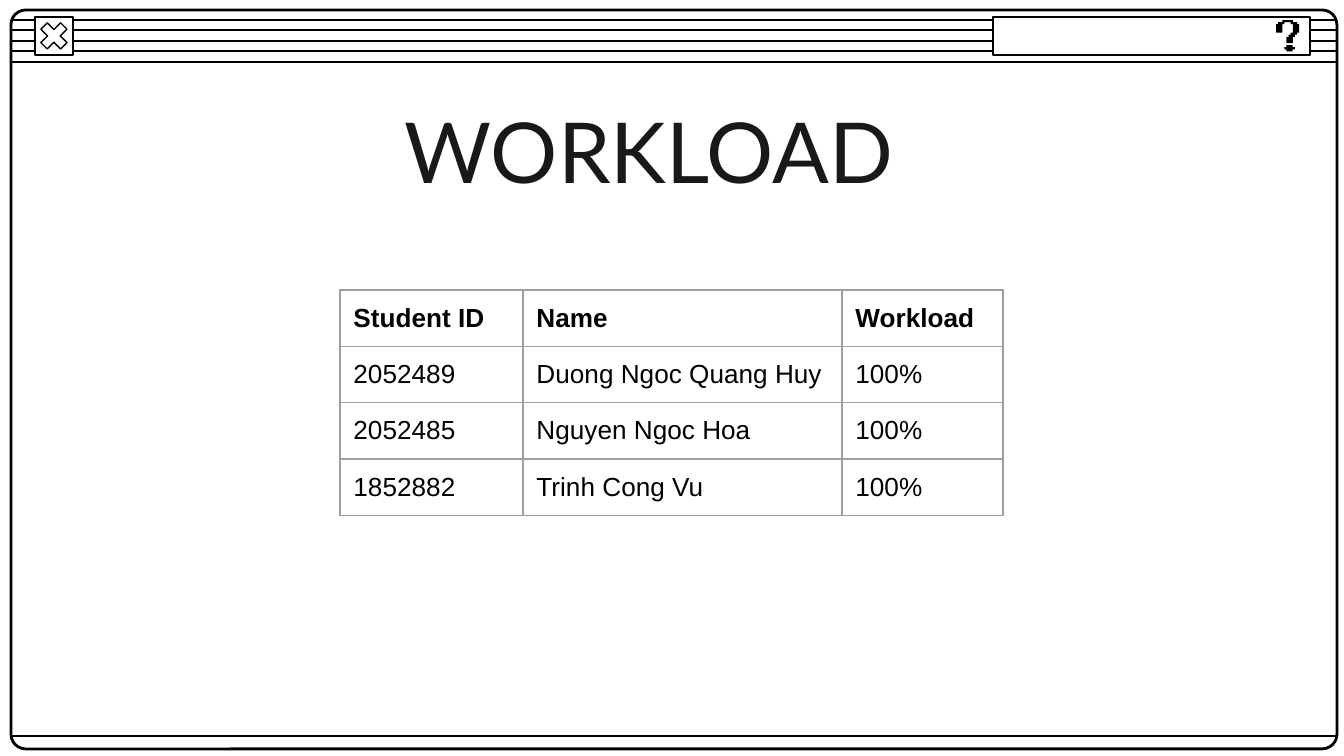
from dataclasses import dataclass

from lxml import etree
from pptx import Presentation
from pptx import util as u
from pptx.dml.color import RGBColor
from pptx.enum import shapes, text
from pptx.oxml import parse_xml
from pptx.oxml.ns import nsdecls, qn

PX = 914400 / 134.4  # EMU per pixel


@dataclass(frozen=True)
class Theme:
    ink: RGBColor = RGBColor(0, 0, 0)
    paper: RGBColor = RGBColor(255, 255, 255)
    title_ink: RGBColor = RGBColor(0x19, 0x19, 0x19)
    grid: str = "9E9E9E"
    title_font: str = "Lato"
    body_font: str = "Arial"
    title_size: u.Pt = u.Pt(45)
    body_size: u.Pt = u.Pt(14)
    thin: u.Pt = u.Pt(0.75)
    thick: u.Pt = u.Pt(1.5)


theme = Theme()


def px(*lengths):
    return [u.Emu(round(length * PX)) for length in lengths]


def add_outlined(preset, box, weight=theme.thin):
    """Add a preset shape with white fill, black outline and no shadow."""
    outlined = slide.shapes.add_shape(preset, *px(*box))
    outlined.shadow.inherit = False
    outlined.fill.solid()
    outlined.fill.fore_color.rgb = theme.paper
    outlined.line.color.rgb = theme.ink
    outlined.line.width = weight
    return outlined


deck = Presentation()
deck.slide_width, deck.slide_height = px(1344, 756)
slide = deck.slides.add_slide(deck.slide_layouts[5])
slide.background.fill.solid()
slide.background.fill.fore_color.rgb = theme.paper

# Window: five title-bar stripes, a bottom rule and the rounded frame
stripe_tops = [round(20 + 10.4 * i) for i in range(5)]
for y in stripe_tops + [736]:
    stripe = slide.shapes.add_connector(
        shapes.MSO_CONNECTOR.STRAIGHT, *px(11, y, 1337, y))
    stripe.line.color.rgb = theme.ink
    stripe.line.width = theme.thin
    etree.SubElement(stripe._element.spPr, qn("a:effectLst"))

frame = add_outlined(shapes.MSO_SHAPE.ROUNDED_RECTANGLE, (11, 10, 1326, 739), theme.thick)
frame.fill.background()
frame.adjustments[0] = 0.02

# Close button
close_box = (35, 17, 38, 38)
add_outlined(shapes.MSO_SHAPE.RECTANGLE, close_box)
close_cross = add_outlined(shapes.MSO_SHAPE.MATH_MULTIPLY, close_box)
close_cross.adjustments[0] = 0.235

# Help field with a question mark drawn on a grid of 2.1 px squares
add_outlined(shapes.MSO_SHAPE.RECTANGLE, (993, 17, 317, 38))
hook = [(3, 0), (3, 1), (1, 1), (1, 2), (0, 2), (0, 6), (3, 6), (3, 2), (4, 2),
        (4, 1), (7, 1), (7, 2), (8, 2), (8, 6), (7, 6), (7, 7), (6, 7), (6, 8),
        (5, 8), (5, 11), (8, 11), (8, 8), (9, 8), (9, 7), (10, 7), (10, 6),
        (11, 6), (11, 2), (10, 2), (10, 1), (8, 1), (8, 0)]
dot = [(5, 12), (5, 13), (4, 13), (4, 14), (5, 14), (5, 15),
       (8, 15), (8, 14), (9, 14), (9, 13), (8, 13), (8, 12)]
for corners in (dot, hook):
    outline = slide.shapes.build_freeform(*corners[0], scale=2.1 * PX)
    outline.add_line_segments(corners[1:], close=True)
    mark = outline.convert_to_shape(*px(1276, 20))
    mark.shadow.inherit = False
    mark.fill.solid()
    mark.fill.fore_color.rgb = theme.ink
    mark.line.fill.background()

# Title
title = slide.shapes.title
title.left, title.top, title.width, title.height = px(82, 71, 1134, 171)
heading = title.text_frame
heading.text = "WORKLOAD"
heading.word_wrap = True
heading.auto_size = text.MSO_AUTO_SIZE.NONE
heading.vertical_anchor = text.MSO_ANCHOR.MIDDLE
line = heading.paragraphs[0]
line.alignment = text.PP_ALIGN.CENTER
line.line_spacing = 0.9
line.space_after = u.Pt(15)
line.font.name = theme.title_font
line.font.size = theme.title_size
line.font.color.rgb = theme.title_ink

# Workload table
students = [
    ("Student ID", "Name", "Workload"),
    ("2052489", "Duong Ngoc Quang Huy", "100%"),
    ("2052485", "Nguyen Ngoc Hoa", "100%"),
    ("1852882", "Trinh Cong Vu", "100%"),
]
column_widths = (183, 319, 161)
row_height = 56
workload = slide.shapes.add_table(
    len(students), len(column_widths),
    *px(340, 290, sum(column_widths), row_height * len(students))).table
workload.first_row = workload.horz_banding = False
for column, width in zip(workload.columns, px(*column_widths)):
    column.width = width

for r, student in enumerate(students):
    workload.rows[r].height = px(row_height)[0]
    for c, value in enumerate(student):
        cell = workload.cell(r, c)
        cell.text = value
        cell.margin_left = cell.margin_right = cell.margin_top = cell.margin_bottom = u.Inches(0.1)
        entry = cell.text_frame.paragraphs[0]
        entry.font.name = theme.body_font
        entry.font.size = theme.body_size
        entry.font.bold = r == 0
        entry.font.color.rgb = theme.ink
        for side in "LRTB":
            cell._tc.get_or_add_tcPr().append(parse_xml(
                f'<a:ln{side} {nsdecls("a")} w="{theme.thin}"><a:solidFill>'
                f'<a:srgbClr val="{theme.grid}"/></a:solidFill></a:ln{side}>'))
        cell.fill.background()

deck.save("out.pptx")
